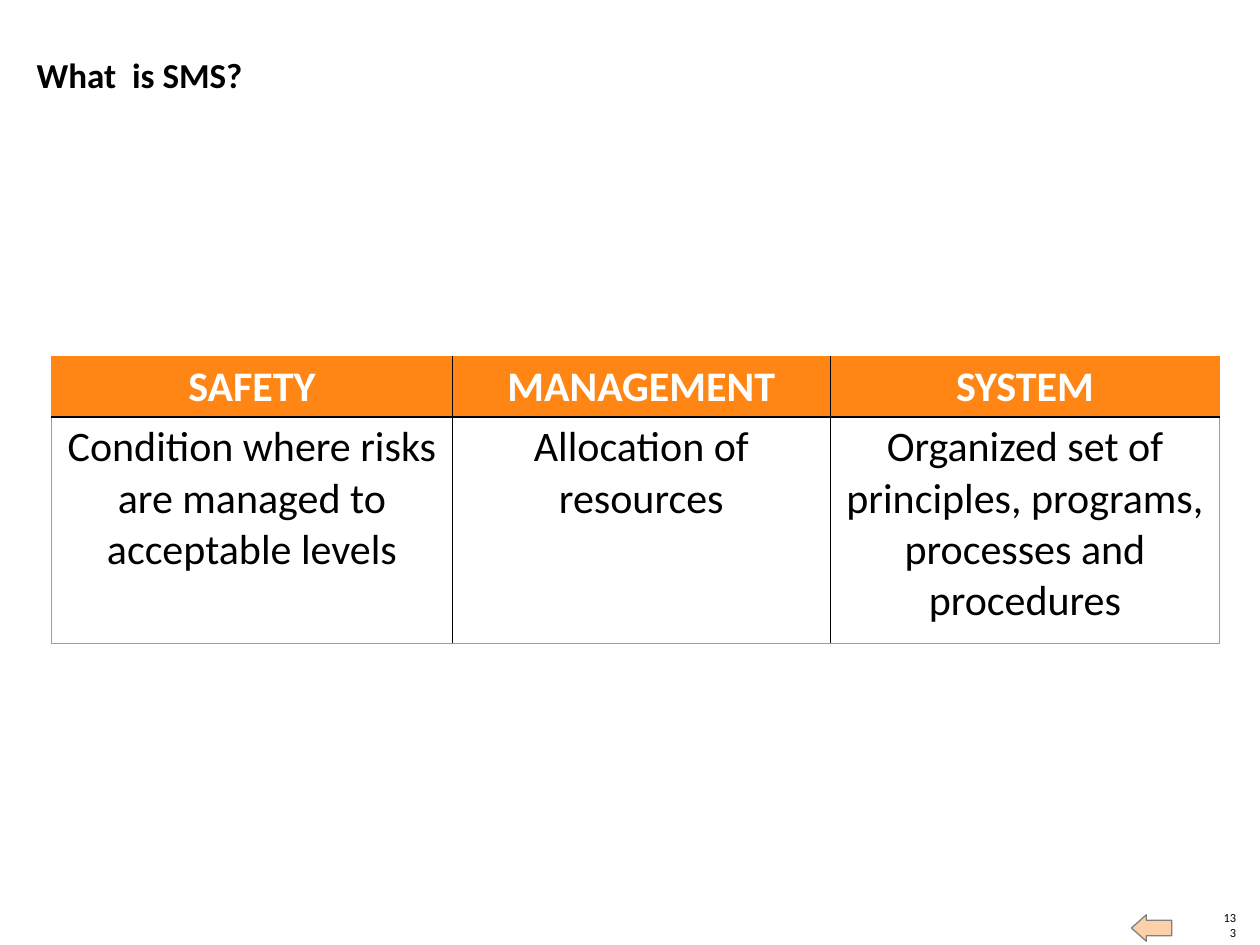
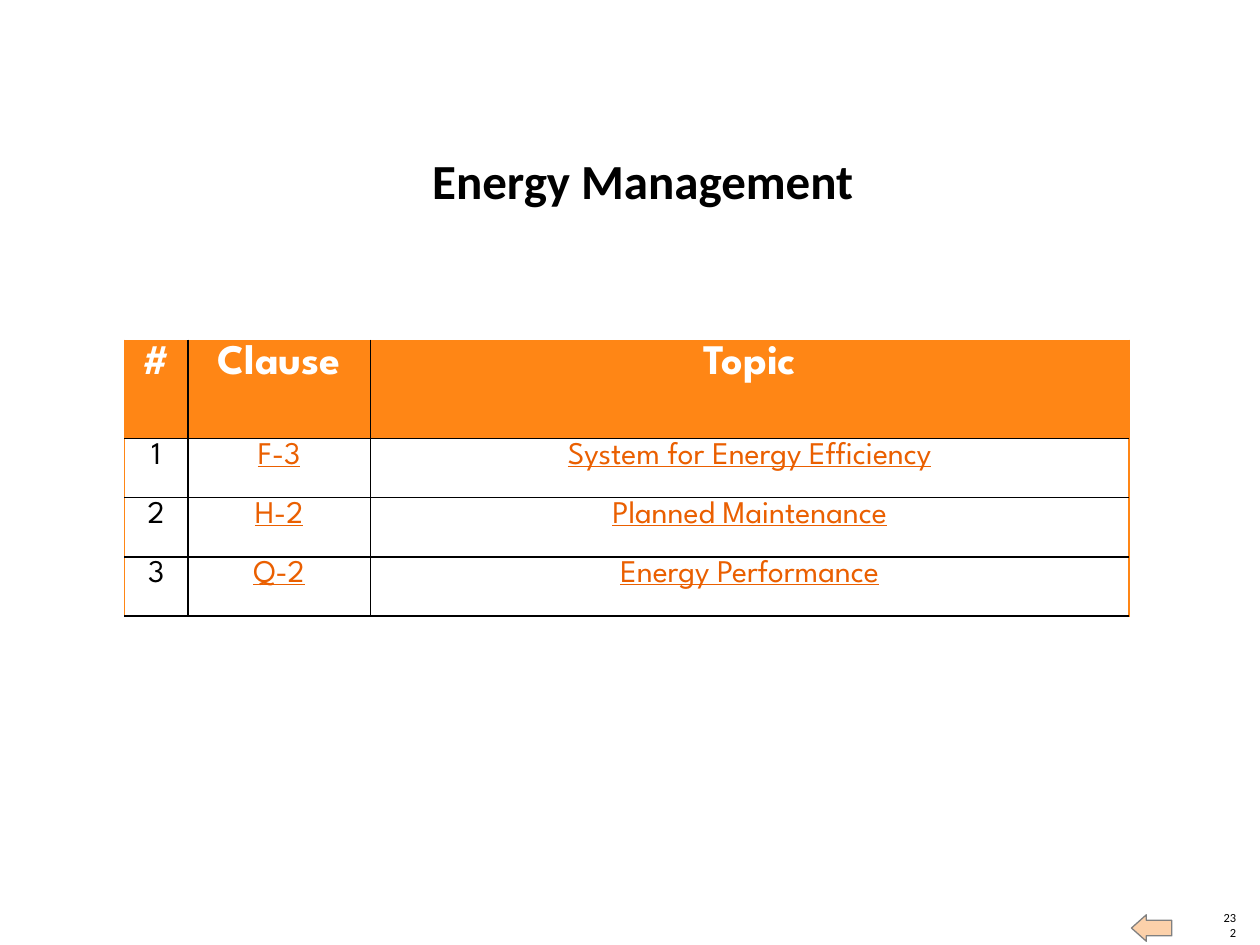
from lxml.etree import SubElement
from pptx import Presentation
from pptx.dml.color import RGBColor
from pptx.enum.shapes import MSO_SHAPE as Shape
from pptx.enum.text import MSO_ANCHOR as Anchor, MSO_AUTO_SIZE as AutoSize, PP_ALIGN as Align
from pptx.oxml.ns import qn
from pptx.util import Pt

PX = 9144  # EMU in one px, 100 px to the inch
BODY_FONT, TABLE_FONT = "Calibri", "League Spartan"
BLACK, WHITE = "000000", "FFFFFF"
ORANGE, LINK, PEACH, GREY = "FF8615", "EA5F00", "FCD1AA", "808080"
OUTER, INNER = (ORANGE, 0.75), (BLACK, 1)


def px(*lengths):
    return [length * PX for length in lengths]


def color(code):
    return RGBColor.from_string(code)


def set_margins(target, left=0, top=0, right=0, bottom=0):
    (target.margin_left, target.margin_top,
     target.margin_right, target.margin_bottom) = px(left, top, right, bottom)


def write(frame, text, size, align, font=BODY_FONT, ink=BLACK, bold=False, underline=False):
    frame.text = text
    para = frame.paragraphs[0]
    para.alignment = align
    para.font.name, para.font.size = font, Pt(size)
    para.font.bold, para.font.underline = bold, underline
    para.font.color.rgb = color(ink)


def add_page(deck, number):
    """A title-only page with the back arrow and page number."""
    page = deck.slides.add_slide(deck.slide_layouts[5])

    # Page number, narrow enough to break after two digits
    box = page.shapes.add_textbox(*px(969, 734, 12, 12))
    frame = box.text_frame
    set_margins(frame)
    frame.word_wrap = True
    frame.auto_size = AutoSize.SHAPE_TO_FIT_TEXT
    frame.vertical_anchor = Anchor.BOTTOM
    write(frame, number, 7.1, Align.RIGHT)

    # Back arrow
    arrow = page.shapes.add_shape(Shape.RIGHT_ARROW, *px(898, 726, 32, 21))
    arrow.rotation = 180
    arrow.adjustments[0], arrow.adjustments[1] = 0.59, 0.56
    arrow.shadow.inherit = False
    arrow.fill.solid()
    arrow.fill.fore_color.rgb = color(PEACH)
    arrow.line.color.rgb = color(GREY)
    arrow.line.width = Pt(0.75)
    return page


def set_title(page, box, text, size, align, indent=0):
    title = page.shapes.title
    title.left, title.top, title.width, title.height = px(*box)
    frame = title.text_frame
    frame.word_wrap = True
    frame.auto_size = AutoSize.NONE
    frame.vertical_anchor = Anchor.BOTTOM
    set_margins(frame, left=indent)
    write(frame, text, size, align, bold=True)


def set_borders(cell, borders):
    """Draw the left, right, top and bottom borders, ahead of the cell's fill."""
    properties = cell._tc.get_or_add_tcPr()
    for index, (side, (code, width)) in enumerate(zip("LRTB", borders)):
        line = SubElement(properties, qn(f"a:ln{side}"), w=str(Pt(width)))
        fill = SubElement(line, qn("a:solidFill"))
        SubElement(fill, qn("a:srgbClr"), val=code)
        properties.insert(index, line)


def add_table(page, left, top, widths, heights, rows, style_cell, bottom=OUTER):
    """A table with an orange header row; style_cell writes each cell."""
    table = page.shapes.add_table(
        len(rows), len(widths), *px(left, top, sum(widths), sum(heights))).table
    table.first_row = table.horz_banding = False
    for column, width in zip(table.columns, widths):
        column.width = width * PX
    for row, height in zip(table.rows, heights):
        row.height = height * PX

    last_row, last_column = len(rows) - 1, len(widths) - 1
    for r, texts in enumerate(rows):
        for c, text in enumerate(texts):
            cell = table.cell(r, c)
            if r == 0:
                cell.fill.solid()
                cell.fill.fore_color.rgb = color(ORANGE)
            else:
                cell.fill.background()
            set_borders(cell, (
                OUTER if c == 0 else INNER,
                OUTER if c == last_column else INNER,
                OUTER if r == 0 else INNER,
                bottom if r == last_row else INNER))
            style_cell(cell, text, r == 0, c)


def style_definition(cell, text, is_header, column):
    set_margins(cell, 7, 4, 7, 4)
    cell.vertical_anchor = Anchor.MIDDLE if is_header else Anchor.TOP
    write(cell.text_frame, text, 24, Align.CENTER,
          ink=WHITE if is_header else BLACK, bold=is_header)


def style_clause(cell, text, is_header, column):
    cell.vertical_anchor = Anchor.TOP
    if is_header:
        set_margins(cell, 7, 4, 7, 4)
        write(cell.text_frame, text, 24, Align.CENTER, TABLE_FONT, WHITE, bold=True)
    else:
        set_margins(cell, 6, 3, 6, 3)
        is_link = column > 0
        write(cell.text_frame, text, 18, Align.CENTER, TABLE_FONT,
              LINK if is_link else BLACK, underline=is_link)


def add_definition_page(deck):
    page = add_page(deck, "133")
    set_title(page, (19, 42, 765, 34), "What  is SMS?", 20, Align.LEFT, indent=10)
    add_table(page, 41, 283, (318, 300, 309), (48, 180), (
        ("SAFETY", "MANAGEMENT", "SYSTEM"),
        ("Condition where risks are managed to acceptable levels",
         "Allocation of resources",
         "Organized set of principles, programs, processes and procedures"),
    ), style_definition)


def add_clause_page(deck):
    page = add_page(deck, "232")
    set_title(page, (303, 119, 414, 47), "Energy Management", 28, Align.CENTER)
    clauses = (("F-3", "System for Energy Efficiency"),
               ("H-2", "Planned Maintenance"),
               ("Q-2", "Energy Performance"))
    rows = [("#", "Clause", "Topic")]
    rows += [(str(number), *clause) for number, clause in enumerate(clauses, 1)]
    add_table(page, 99, 270, (50, 145, 602), [78] + [47] * len(clauses),
              rows, style_clause, bottom=INNER)


def main():
    deck = Presentation()
    deck.slide_width, deck.slide_height = px(1000, 750)
    add_definition_page(deck)
    add_clause_page(deck)
    deck.save("out.pptx")


if __name__ == "__main__":
    main()
